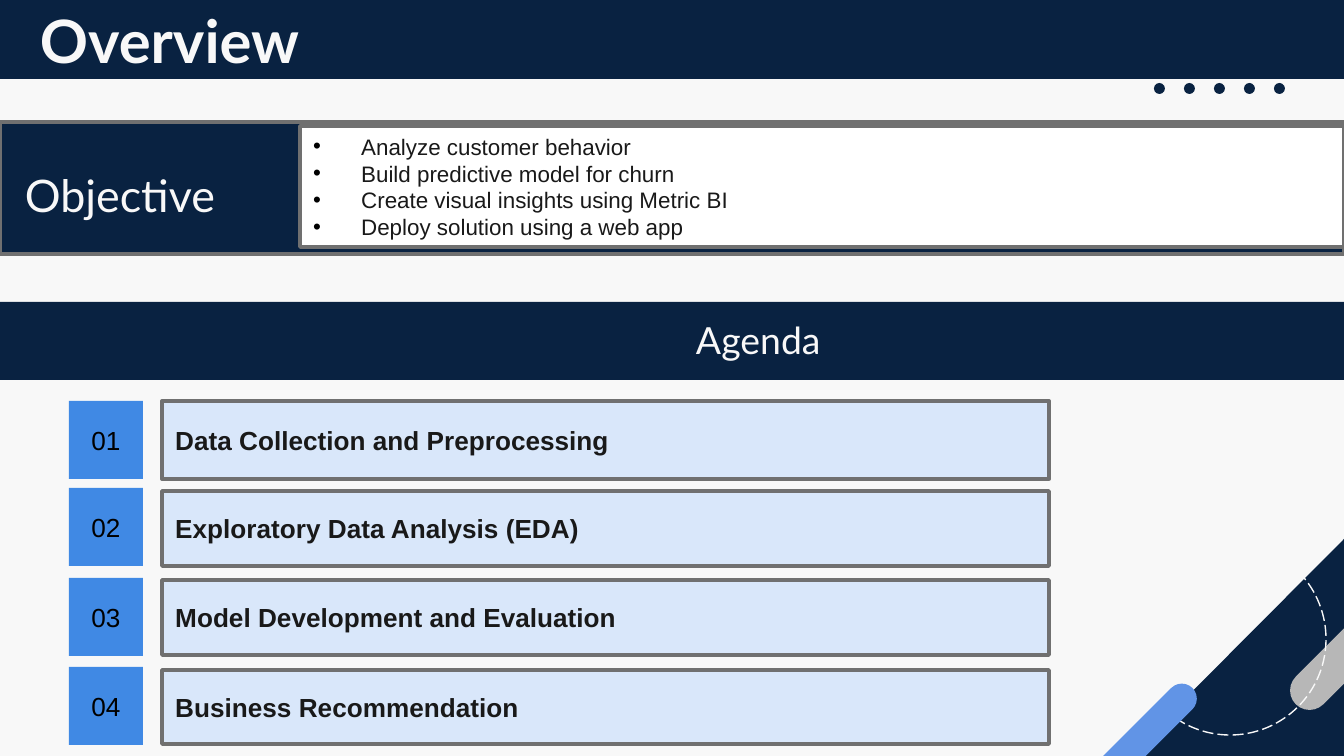
from dataclasses import dataclass, field
from typing import Any, Optional

from lxml import etree
from pptx import Presentation
from pptx import util as u
from pptx.dml.color import RGBColor
from pptx.enum import dml, shapes, text
from pptx.oxml.ns import qn

NAVY = RGBColor(0x09, 0x22, 0x41)
PAPER = RGBColor(0xF8, 0xF8, 0xF8)
WHITE = RGBColor(0xFF, 0xFF, 0xFF)
BLACK = RGBColor(0x00, 0x00, 0x00)
INK = RGBColor(0x19, 0x19, 0x19)
EDGE = RGBColor(0x70, 0x70, 0x70)
SILVER = RGBColor(0xB7, 0xB7, 0xB7)
SKY = RGBColor(0x61, 0x94, 0xE6)
BLUE = RGBColor(0x40, 0x89, 0xE4)
PALE = RGBColor(0xD9, 0xE7, 0xFA)

KIND = shapes.MSO_SHAPE
MIDDLE = text.MSO_ANCHOR.MIDDLE
BOTTOM = text.MSO_ANCHOR.BOTTOM
LEFT = text.PP_ALIGN.LEFT
CENTER = text.PP_ALIGN.CENTER
EMU_PER_PX = 914400 / 134.4
BULLET_INDENT = 48


@dataclass
class Figure:
    left: int
    top: int
    width: int
    height: int
    fill: Optional[RGBColor] = None
    line: Optional[RGBColor] = None
    weight: float = 2
    dash: Optional[dml.MSO_LINE] = None
    kind: shapes.MSO_SHAPE = KIND.RECTANGLE
    rotation: int = 0


@dataclass
class Label:
    lines: list[str]
    size: int
    color: RGBColor
    font: str = "Arial"
    bold: bool = False
    bullets: bool = False
    align: text.PP_ALIGN = LEFT
    frame: dict[str, Any] = field(default_factory=dict)


@dataclass
class AgendaItem:
    title: str
    number_top: int
    title_top: int
    title_height: int


AGENDA = [
    AgendaItem("Data Collection and Preprocessing", 401, 401, 78),
    AgendaItem("Exploratory Data Analysis (EDA)", 488, 491, 75),
    AgendaItem("Model Development and Evaluation", 578, 580, 75),
    AgendaItem("Business Recommendation", 667, 670, 74),
]

OBJECTIVES = [
    "Analyze customer behavior",
    "Build predictive model for churn",
    "Create visual insights using Metric BI",
    "Deploy solution using a web app",
]

DECORATION = [
    *(Figure(1154 + 30 * i, 83, 11, 11, NAVY, kind=KIND.OVAL) for i in range(5)),
    Figure(1125, 531, 228, 227, NAVY, kind=KIND.RIGHT_TRIANGLE, rotation=270),
    Figure(1271, 625, 169, 39, SILVER, kind=KIND.ROUNDED_RECTANGLE, rotation=135),
    Figure(1134, 543, 192, 192, line=PAPER, weight=0.75,
           dash=dml.MSO_LINE.LONG_DASH, kind=KIND.OVAL),
    Figure(1055, 730, 161, 30, SKY, kind=KIND.ROUNDED_RECTANGLE, rotation=135),
]

PANELS = [
    (Figure(0, 0, 1344, 79, NAVY),
     Label(["Overview"], 32, PAPER, "Lato", True, frame={"margin_left": 40})),
    (Figure(0, 122, 1344, 132, NAVY, EDGE),
     Label(["Objective"], 24, PAPER, "Lato",
           frame={"margin_left": 25, "margin_top": 19})),
    (Figure(300, 126, 1044, 121, WHITE, EDGE),
     Label(OBJECTIVES, 12, INK, bullets=True)),
    (Figure(0, 302, 1344, 78, NAVY),
     Label(["Agenda"], 20, PAPER, "Lato",
           frame={"margin_left": 696, "margin_bottom": 18,
                  "vertical_anchor": BOTTOM})),
]


def px(length: int) -> u.Emu:
    return u.Emu(round(length * EMU_PER_PX))


def set_all(target: Any, values: dict[str, Any]) -> None:
    for name, value in values.items():
        setattr(target, name, value)


def draw_figure(page: Any, figure: Figure) -> Any:
    box = page.shapes.add_shape(
        figure.kind, px(figure.left), px(figure.top),
        px(figure.width), px(figure.height))
    box.shadow.inherit = False
    box.rotation = figure.rotation
    if figure.kind == KIND.ROUNDED_RECTANGLE:
        box.adjustments[0] = 0.5
    if figure.fill is None:
        box.fill.background()
    else:
        box.fill.solid()
        box.fill.fore_color.rgb = figure.fill
    if figure.line is None:
        box.line.fill.background()
    else:
        box.line.color.rgb = figure.line
        box.line.width = u.Pt(figure.weight)
        if figure.dash is not None:
            box.line.dash_style = figure.dash
    return box


def add_bullet(para: Any) -> None:
    props = para._p.get_or_add_pPr()
    indent = px(BULLET_INDENT)
    props.set("marL", str(indent))
    props.set("indent", str(-indent))
    color = etree.SubElement(props, qn("a:buClr"))
    etree.SubElement(color, qn("a:srgbClr"), val=str(BLACK))
    etree.SubElement(props, qn("a:buFont"), typeface="Arial")
    etree.SubElement(props, qn("a:buChar"), char="•")


def write_label(box: Any, label: Label) -> None:
    frame = box.text_frame
    values = {"word_wrap": True, "vertical_anchor": MIDDLE} | label.frame
    set_all(frame, {name: px(value) if name.startswith("margin") else value
                    for name, value in values.items()})
    for index, line in enumerate(label.lines):
        para = frame.add_paragraph() if index else frame.paragraphs[0]
        para.alignment = label.align
        if label.bullets:
            add_bullet(para)
        span = para.add_run()
        span.text = line
        set_all(span.font, {"name": label.font, "size": u.Pt(label.size),
                            "bold": label.bold})
        span.font.color.rgb = label.color


def main() -> None:
    deck = Presentation()
    set_all(deck, {"slide_width": px(1344), "slide_height": px(756)})
    page = deck.slides.add_slide(deck.slide_layouts[6])
    page.background.fill.solid()
    page.background.fill.fore_color.rgb = PAPER

    for figure in DECORATION:
        draw_figure(page, figure)
    for figure, label in PANELS:
        write_label(draw_figure(page, figure), label)
    for number, item in enumerate(AGENDA, 1):
        badge = draw_figure(page, Figure(69, item.number_top, 74, 78, BLUE))
        write_label(badge, Label([f"{number:02}"], 14, BLACK, align=CENTER))
        bar = draw_figure(
            page, Figure(162, item.title_top, 887, item.title_height, PALE, EDGE))
        write_label(bar, Label([item.title], 14, INK, bold=True))

    deck.save("out.pptx")


if __name__ == "__main__":
    main()
